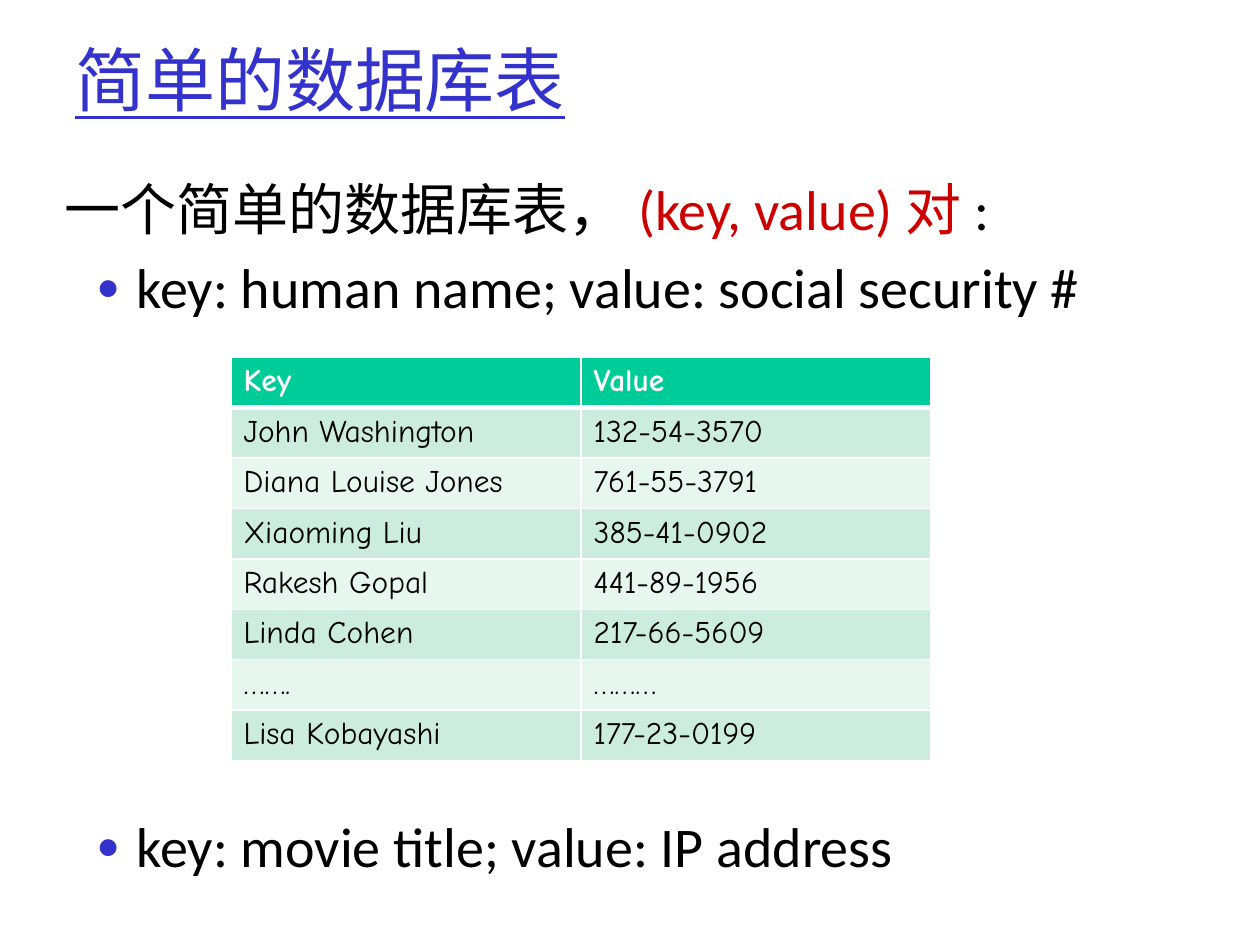
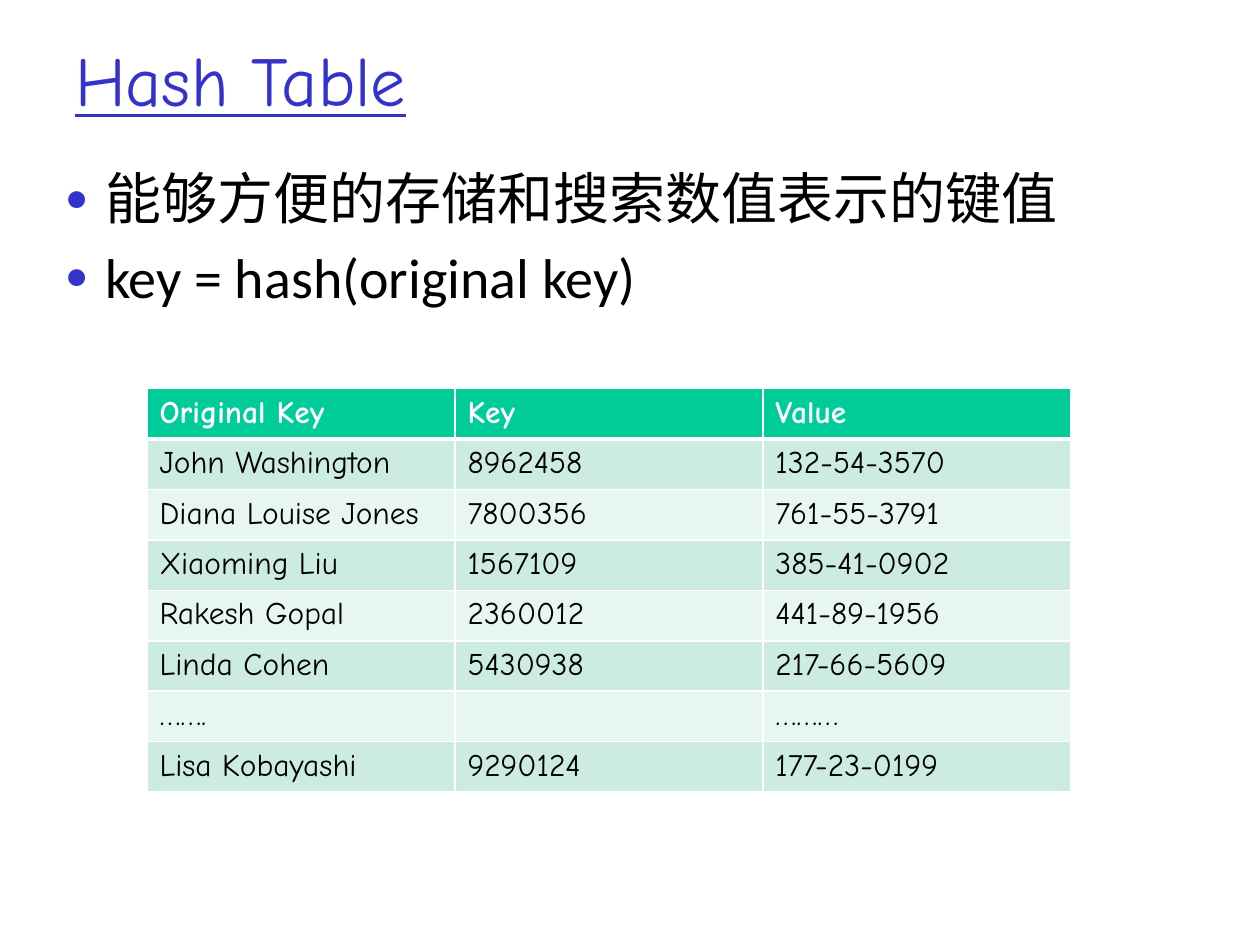
from dataclasses import dataclass

import pptx
import pptx.dml.color
import pptx.enum.text
import pptx.oxml.ns
import pptx.util
from lxml import etree

Pt = pptx.util.Pt
qn = pptx.oxml.ns.qn


@dataclass(frozen=True)
class Theme:
    ink: str = "000000"
    paper: str = "FFFFFF"
    accent: str = "3333CC"
    highlight: str = "CC0000"
    header: str = "00CC99"
    bands: tuple = ("CBECDE", "E7F6EF")
    body_font: str = "Calibri"
    hand_font: str = "Comic Neue"
    cjk_font: str = "Noto Sans CJK SC"
    title_size: int = 40
    body_size: int = 32
    cell_size: int = 18


THEME = Theme()


def rgb(color):
    return pptx.dml.color.RGBColor.from_string(color)


def add_text(paragraph, text, font=THEME.body_font, size=THEME.body_size,
             color=THEME.ink, bold=False, underline=False):
    run = paragraph.add_run()
    run.text = text
    run.font.name = font
    run.font.size = Pt(size)
    run.font.bold = bold
    run.font.underline = underline
    run.font.color.rgb = rgb(color)
    east_asian = etree.SubElement(run.font._element, qn("a:ea"))
    east_asian.set("typeface", font)
    run.font._element.find(qn("a:latin")).addnext(east_asian)


def add_bullet(paragraph, margin, hanging=23):
    properties = paragraph._p.get_or_add_pPr()
    properties.set("marL", str(Pt(margin)))
    properties.set("indent", str(-Pt(hanging)))
    color = etree.SubElement(properties, qn("a:buClr"))
    etree.SubElement(color, qn("a:srgbClr")).set("val", THEME.accent)
    etree.SubElement(properties, qn("a:buSzPct")).set("val", "85000")
    etree.SubElement(properties, qn("a:buFont")).set("typeface", THEME.body_font)
    etree.SubElement(properties, qn("a:buChar")).set("char", "•")


def set_borders(cell, **widths):
    properties = cell._tc.get_or_add_tcPr()
    for position, side in enumerate(("L", "R", "T", "B")):
        line = etree.Element(qn(f"a:ln{side}"))
        line.set("w", str(Pt(widths.get(side, 1))))
        fill = etree.SubElement(line, qn("a:solidFill"))
        etree.SubElement(fill, qn("a:srgbClr")).set("val", THEME.paper)
        properties.insert(position, line)


class Deck:
    def __init__(self, theme):
        self.theme = theme
        self.presentation = pptx.Presentation()
        self.presentation.slide_width = Pt(720)
        self.presentation.slide_height = Pt(540)
        self.slide = None

    def new_slide(self, title, font):
        self.slide = self.presentation.slides.add_slide(
            self.presentation.slide_layouts[6])
        frame = self.text_frame(36, 0, 648, 90)
        frame.vertical_anchor = pptx.enum.text.MSO_ANCHOR.MIDDLE
        add_text(frame.paragraphs[0], title, font=font, underline=True,
                 size=self.theme.title_size, color=self.theme.accent)

    def text_frame(self, left, top, width, height):
        box = self.slide.shapes.add_textbox(
            Pt(left), Pt(top), Pt(width), Pt(height))
        box.text_frame.word_wrap = True
        return box.text_frame

    def body(self, top, width, height, paragraphs):
        """Each paragraph is (bullet margin or None, [(text, color), ...])."""
        frame = self.text_frame(30, top, width, height)
        for index, (margin, runs) in enumerate(paragraphs):
            paragraph = frame.add_paragraph() if index else frame.paragraphs[0]
            if index:
                paragraph.space_before = Pt(0.2 * self.theme.body_size)
            if margin is not None:
                add_bullet(paragraph, margin)
            for text, color in runs:
                add_text(paragraph, text, color=color)

    def table(self, left, top, column_width, rows, row_height=28.8):
        columns = len(rows[0])
        grid = self.slide.shapes.add_table(
            len(rows), columns, Pt(left), Pt(top),
            Pt(column_width * columns), Pt(row_height * len(rows))).table
        grid.horz_banding = False
        for column in grid.columns:
            column.width = Pt(column_width)
        for row_index, values in enumerate(rows):
            header = row_index == 0
            fill = self.theme.header if header else self.theme.bands[(row_index - 1) % 2]
            for column_index, value in enumerate(values):
                cell = grid.cell(row_index, column_index)
                cell.fill.solid()
                cell.fill.fore_color.rgb = rgb(fill)
                set_borders(cell, T=3 if row_index == 1 else 1, B=3 if header else 1)
                add_text(cell.text_frame.paragraphs[0], value,
                         font=self.theme.hand_font, size=self.theme.cell_size,
                         color=self.theme.paper if header else self.theme.ink,
                         bold=header)


# Records: name, hashed key, value
RECORDS = [
    ("John Washington", "8962458", "132-54-3570"),
    ("Diana Louise Jones", "7800356", "761-55-3791"),
    ("Xiaoming Liu", "1567109", "385-41-0902"),
    ("Rakesh Gopal", "2360012", "441-89-1956"),
    ("Linda Cohen", "5430938", "217-66-5609"),
    ("…….", "", "………"),
    ("Lisa Kobayashi", "9290124", "177-23-0199"),
]
TOP_LEVEL, SECOND_LEVEL = 23, 41


def build_simple_table(deck):
    ink = deck.theme.ink
    deck.new_slide("简单的数据库表", deck.theme.cjk_font)
    deck.body(96, 690, 127, [
        (None, [("一个简单的数据库表， ", ink),
                ("(key, value) 对", deck.theme.highlight), (" :", ink)]),
        (SECOND_LEVEL, [("key: human name; value: social security #", ink)]),
    ])
    pairs = [(name, value) for name, _, value in RECORDS]
    deck.table(132, 204, 200, [("Key", "Value")] + pairs)
    deck.body(460, 690, 60, [
        (SECOND_LEVEL, [("key: movie title; value: IP address", ink)]),
    ])


def build_hash_table(deck):
    ink = deck.theme.ink
    deck.new_slide("Hash Table", deck.theme.hand_font)
    deck.body(90, 636, 127, [
        (TOP_LEVEL, [("能够方便的存储和搜索数值表示的键值", ink)]),
        (TOP_LEVEL, [("key = hash(original key)", ink)]),
    ])
    deck.table(84, 222, 176, [("Original Key", "Key", "Value")] + RECORDS)


def main():
    deck = Deck(THEME)
    build_simple_table(deck)
    build_hash_table(deck)
    deck.presentation.save("out.pptx")


if __name__ == "__main__":
    main()
